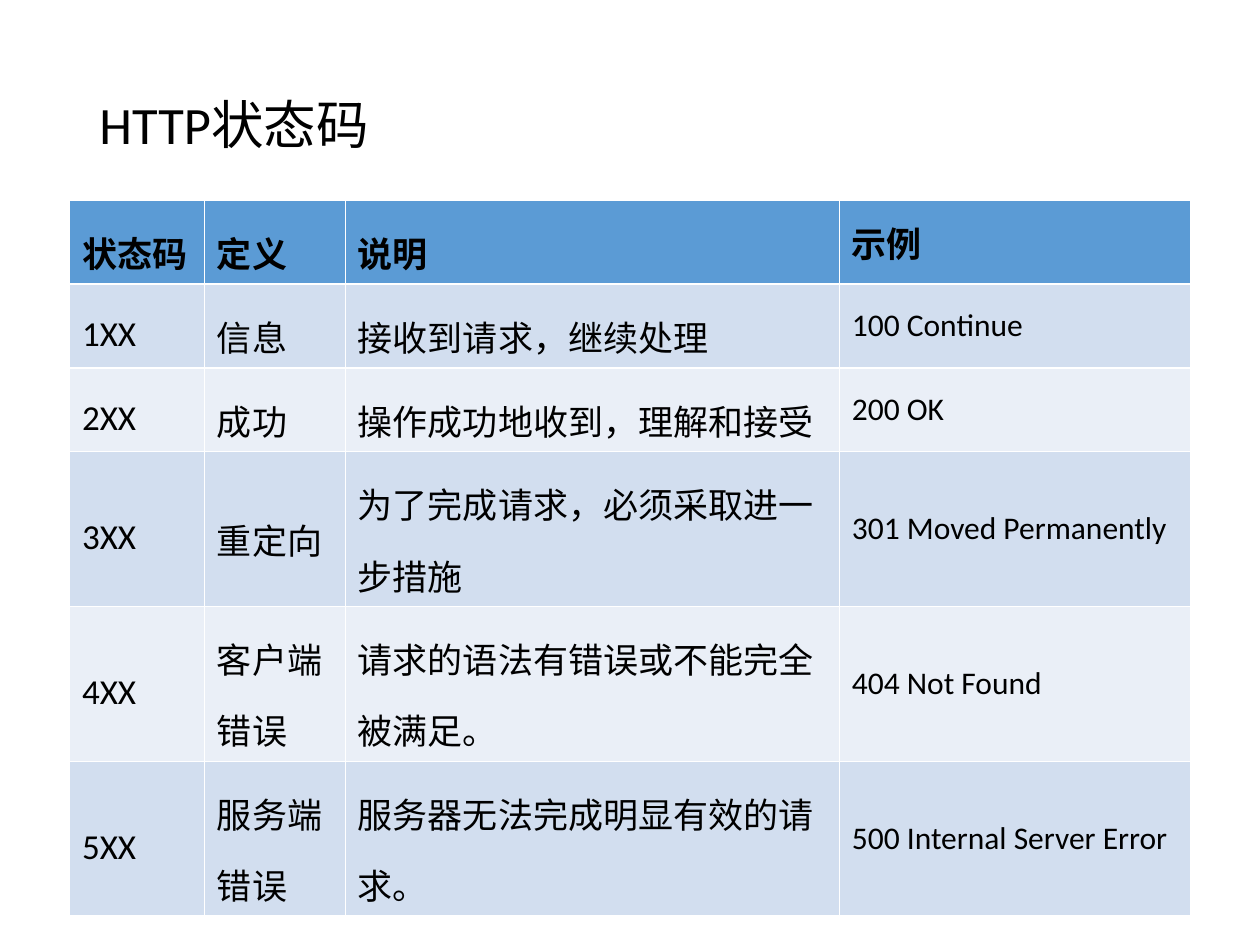
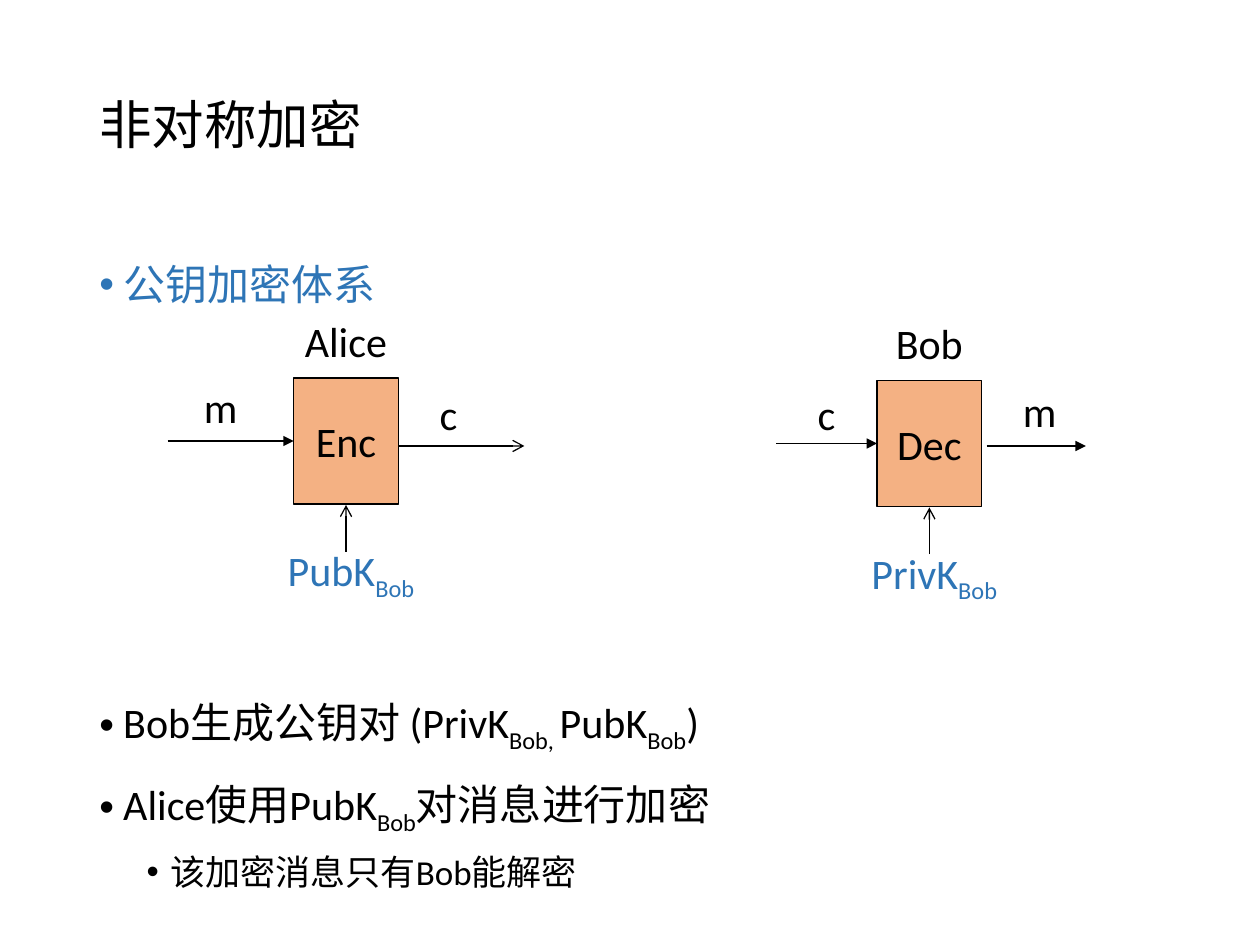
from lxml.etree import SubElement
from pptx import Presentation
from pptx.dml.color import RGBColor
from pptx.enum.shapes import MSO_CONNECTOR, MSO_SHAPE
from pptx.enum.text import MSO_ANCHOR, MSO_AUTO_SIZE, PP_ALIGN
from pptx.oxml.ns import qn
from pptx.util import Cm, Pt

FONT = "Calibri"
BLACK = RGBColor(0x00, 0x00, 0x00)
KEY_BLUE = RGBColor(0x2E, 0x75, 0xB6)
BOX_ORANGE = RGBColor(0xF4, 0xB1, 0x83)
HEADER_BLUE = RGBColor(0x5B, 0x9B, 0xD5)
ROW_FILLS = [RGBColor(0xD2, 0xDE, 0xEF), RGBColor(0xEA, 0xEF, 0xF7)]

TITLE_AND_CONTENT, TITLE_ONLY = 1, 5
BOX_WIDTH, BOX_HEIGHT, LABEL_HEIGHT = 2.11, 2.54, 1.27

STATUS_COLUMNS = [2.72, 2.84, 9.96, 7.09]
STATUS_ROWS = [
    ("状态码", "定义", "说明", "示例"),
    ("1XX", "信息", "接收到请求，继续处理", "100 Continue"),
    ("2XX", "成功", "操作成功地收到，理解和接受", "200 OK"),
    ("3XX", "重定向", "为了完成请求，必须采取进一步措施", "301 Moved Permanently"),
    ("4XX", "客户端错误", "请求的语法有错误或不能完全被满足。", "404 Not Found"),
    ("5XX", "服务端错误", "服务器无法完成明显有效的请求。", "500 Internal Server Error"),
]


def set_font(paragraph, size, color=BLACK, bold=False):
    font = paragraph.font
    font.name, font.size, font.bold = FONT, Pt(size), bold
    font.color.rgb = color


def add_runs(paragraph, marked_text):
    """Add runs; every second part between bars is a subscript."""
    for index, part in enumerate(marked_text.split("|")):
        if part:
            run = paragraph.add_run()
            run.text = part
            if index % 2:
                run.font._element.set("baseline", "-25000")


def add_titled_slide(presentation, layout, text):
    slide = presentation.slides.add_slide(presentation.slide_layouts[layout])
    title = slide.shapes.title
    title.left, title.top, title.width, title.height = Cm(1.75), Cm(1.02), Cm(21.89), Cm(3.12)
    title.text_frame.text = text
    title.text_frame.vertical_anchor = MSO_ANCHOR.MIDDLE
    paragraph = title.text_frame.paragraphs[0]
    paragraph.alignment, paragraph.line_spacing = PP_ALIGN.LEFT, 0.9
    set_font(paragraph, 30)
    return slide


def add_status_table(slide):
    frame = slide.shapes.add_table(len(STATUS_ROWS), len(STATUS_COLUMNS),
                                   Cm(1.4), Cm(4.04), Cm(sum(STATUS_COLUMNS)), Cm(6.24))
    table = frame.table
    for column, width in zip(table.columns, STATUS_COLUMNS):
        column.width = Cm(width)
    for row, texts in enumerate(STATUS_ROWS):
        for column, text in enumerate(texts):
            is_header, is_example = row == 0, column == len(texts) - 1
            cell = table.cell(row, column)
            cell.text = text
            cell.vertical_anchor = MSO_ANCHOR.MIDDLE
            cell.fill.solid()
            cell.fill.fore_color.rgb = HEADER_BLUE if is_header else ROW_FILLS[(row - 1) % 2]
            paragraph = cell.text_frame.paragraphs[0]
            paragraph.line_spacing = 1.0 if is_example else 1.4
            set_font(paragraph, 18 if is_example and not is_header else 20, bold=is_header)


def add_bullet(paragraph, text, size=24, color=BLACK, level=0, space_before=7.5):
    paragraph.level = level
    paragraph.line_spacing, paragraph.space_before = 1.2, Pt(space_before)
    properties = paragraph._p.get_or_add_pPr()
    properties.set("marL", str(Cm(0.48 + 0.95 * level)))
    properties.set("indent", str(-Cm(0.48)))
    SubElement(properties, qn("a:buFont")).set("typeface", "Arial")
    SubElement(properties, qn("a:buChar")).set("char", "•")
    set_font(paragraph, size, color)
    add_runs(paragraph, text)


def fill_body(slide):
    body = slide.placeholders[1]
    body.left, body.top, body.width, body.height = Cm(1.75), Cm(4.88), Cm(21.89), Cm(12.29)
    frame = body.text_frame
    frame.auto_size = MSO_AUTO_SIZE.NONE
    add_bullet(frame.paragraphs[0], "公钥加密体系", color=KEY_BLUE)
    # The wide space leaves room for the diagram.
    add_bullet(frame.add_paragraph(), "Bob生成公钥对 (PrivK|Bob, |PubK|Bob|)", space_before=215)
    add_bullet(frame.add_paragraph(), "Alice使用PubK|Bob|对消息进行加密")
    add_bullet(frame.add_paragraph(), "该加密消息只有Bob能解密", size=20, level=1, space_before=3.8)


def add_label(shapes, text, center, top, width, color=BLACK):
    label = shapes.add_textbox(Cm(center - width / 2), Cm(top), Cm(width), Cm(LABEL_HEIGHT))
    frame = label.text_frame
    frame.word_wrap, frame.auto_size = False, MSO_AUTO_SIZE.SHAPE_TO_FIT_TEXT
    paragraph = frame.paragraphs[0]
    paragraph.alignment = PP_ALIGN.CENTER
    set_font(paragraph, 24, color)
    add_runs(paragraph, text)


def add_operation_box(shapes, text, left, top):
    box = shapes.add_shape(MSO_SHAPE.RECTANGLE, Cm(left), Cm(top), Cm(BOX_WIDTH), Cm(BOX_HEIGHT))
    box.shadow.inherit = False
    box.fill.solid()
    box.fill.fore_color.rgb = BOX_ORANGE
    box.line.color.rgb, box.line.width = BLACK, Pt(0.75)
    frame = box.text_frame
    frame.text, frame.word_wrap = text, False
    frame.vertical_anchor = MSO_ANCHOR.MIDDLE
    frame.paragraphs[0].alignment = PP_ALIGN.CENTER
    set_font(frame.paragraphs[0], 24)


def add_arrow(shapes, start, end, head):
    points = [Cm(value) for value in (*start, *end)]
    arrow = shapes.add_connector(MSO_CONNECTOR.STRAIGHT, *points)
    arrow.line.color.rgb, arrow.line.width = BLACK, Pt(0.75)
    SubElement(arrow.line._get_or_add_ln(), qn("a:tailEnd")).set("type", head)
    SubElement(arrow._element.spPr, qn("a:effectLst"))


def add_party(slide, name, operation, key, left, top, source, result):
    """Draw a party's box; source and result are (text, label x, label y, arrow x1, x2, head)."""
    shapes = slide.shapes.add_group_shape().shapes
    center, bottom = left + BOX_WIDTH / 2, top + BOX_HEIGHT
    add_label(shapes, name, center, top - 1.39, 2.24)
    add_operation_box(shapes, operation, left, top)
    add_label(shapes, key, center + 0.1, top + 3.24, 3.2, KEY_BLUE)
    add_arrow(shapes, (center, bottom + 0.96), (center, bottom + 0.02), "arrow")
    for flow, height in ((source, top + BOX_HEIGHT / 2), (result, 8.99)):
        text, label_center, label_top, arrow_start, arrow_end, head = flow
        add_label(shapes, text, label_center, label_top, 1.22)
        add_arrow(shapes, (arrow_start, height), (arrow_end, height), head)


def main():
    presentation = Presentation()
    presentation.slide_width, presentation.slide_height = Cm(25.4), Cm(19.05)

    status_slide = add_titled_slide(presentation, TITLE_ONLY, "HTTP状态码")
    add_status_table(status_slide)

    encryption_slide = add_titled_slide(presentation, TITLE_AND_CONTENT, "非对称加密")
    fill_body(encryption_slide)
    add_party(encryption_slide, "Alice", "Enc", "PubK|Bob", 5.92, 7.62,
              source=("m", 4.45, 7.57, 3.38, 5.92, "triangle"),
              result=("c", 9.04, 7.7, 8.03, 10.57, "arrow"))
    add_party(encryption_slide, "Bob", "Dec", "PrivK|Bob", 17.68, 7.67,
              source=("c", 16.66, 7.7, 15.65, 17.68, "triangle"),
              result=("m", 20.96, 7.65, 19.89, 21.89, "triangle"))

    presentation.save("out.pptx")


if __name__ == "__main__":
    main()
